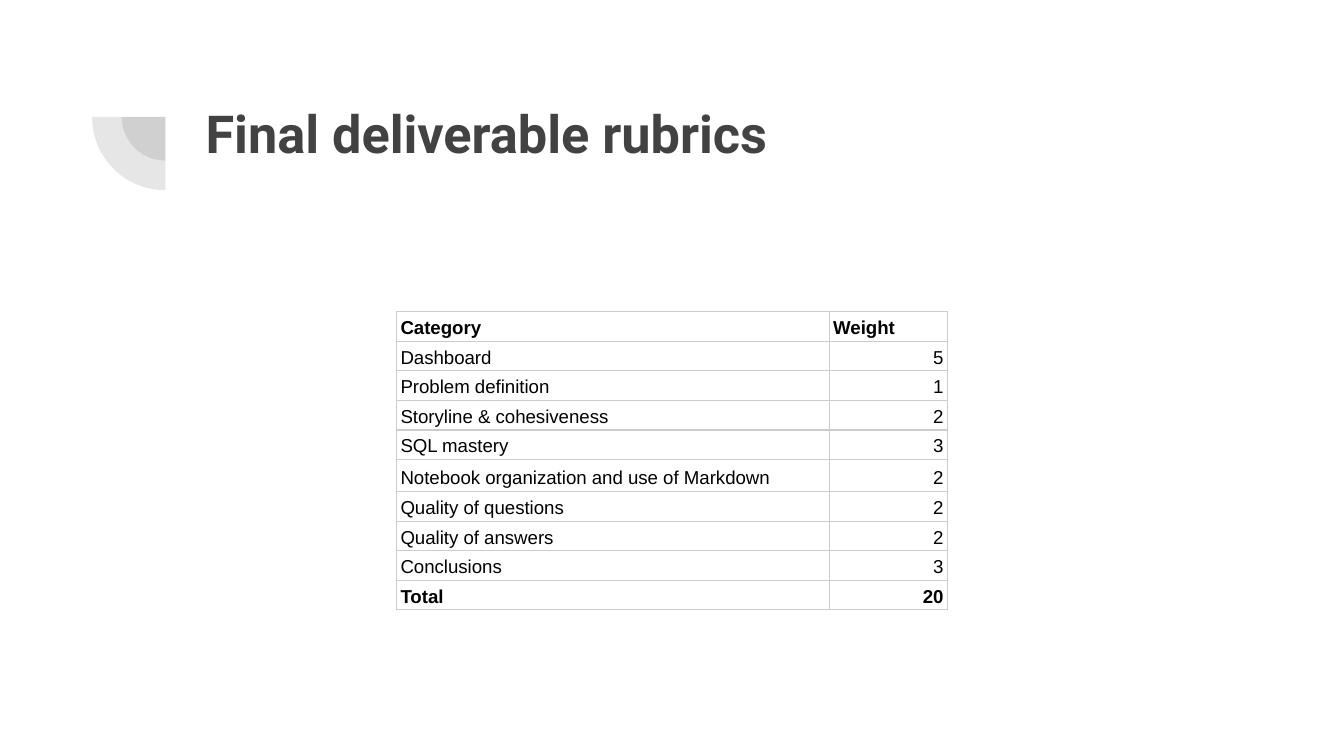
from lxml import etree
from pptx import Presentation
from pptx.dml.color import RGBColor
from pptx.enum import shapes, text
from pptx.oxml.ns import qn
from pptx.util import Inches, Pt

# Content
TITLE = "Final deliverable rubrics"
RUBRIC = [
    ("Category", "Weight"),
    ("Dashboard", "5"),
    ("Problem definition", "1"),
    ("Storyline & cohesiveness", "2"),
    ("SQL mastery", "3"),
    ("Notebook organization and use of Markdown", "2"),
    ("Quality of questions", "2"),
    ("Quality of answers", "2"),
    ("Conclusions", "3"),
    ("Total", "20"),
]
BOLD_ROWS = (0, len(RUBRIC) - 1)
TALL_ROW = 5

THEME = {
    "dark": "424242", "ink": "000000", "border": "CCCCCC", "accent_alpha": 13,
    "title_font": "Roboto", "title_size": 28,
    "table_font": "Arial", "table_size": 10, "border_width": 0.75,
}

# Layout, in inches
SLIDE_WIDTH = 10
SLIDE_HEIGHT = SLIDE_WIDTH * 9 / 16
TABLE_LEFT, TABLE_TOP = 2.95, 2.32
COLUMNS = (3.22, 0.88)
ROW, TALL = 0.22, 0.24
ARC_CENTER = (1.23, 0.87)
ARC_DIAMETERS = (0.65, 1.09)
QUARTER = (54, 108)  # 90 to 180 degrees: the lower left quarter


def style(run, font, size, color, bold):
    run.font.name = font
    run.font.size = Pt(size)
    run.font.color.rgb = RGBColor.from_string(THEME[color])
    run.font.bold = bold


def set_margins(frame, x, y):
    frame.margin_left = frame.margin_right = Inches(x)
    frame.margin_top = frame.margin_bottom = Inches(y)


def add_arc(slide, diameter):
    left, top = (Inches(c - diameter / 2) for c in ARC_CENTER)
    arc = slide.shapes.add_shape(shapes.MSO_SHAPE.PIE, left, top,
                                 Inches(diameter), Inches(diameter))
    arc.adjustments[0], arc.adjustments[1] = QUARTER
    arc.shadow.inherit = False
    arc.line.fill.background()
    arc.fill.solid()
    arc.fill.fore_color.rgb = RGBColor.from_string(THEME["dark"])
    color = arc.element.spPr.find(qn("a:solidFill")).find(qn("a:srgbClr"))
    etree.SubElement(color, qn("a:alpha"), val=str(THEME["accent_alpha"] * 1000))


def add_borders(cell):
    properties = cell._tc.get_or_add_tcPr()
    for index, side in enumerate(("lnL", "lnR", "lnT", "lnB")):
        line = etree.Element(qn("a:" + side), w=str(Pt(THEME["border_width"])))
        fill = etree.SubElement(line, qn("a:solidFill"))
        etree.SubElement(fill, qn("a:srgbClr"), val=THEME["border"])
        properties.insert(index, line)


presentation = Presentation()
presentation.slide_width = Inches(SLIDE_WIDTH)
presentation.slide_height = Inches(SLIDE_HEIGHT)
slide = presentation.slides.add_slide(presentation.slide_layouts[5])

# Quarter circles beside the title
for diameter in ARC_DIAMETERS:
    add_arc(slide, diameter)

# Title
title = slide.shapes.title
title.left, title.top, title.width, title.height = map(Inches, (1.43, 0.65, 7.69, 1.09))
heading = title.text_frame
heading.text = TITLE
heading.word_wrap = True
heading.auto_size = text.MSO_AUTO_SIZE.NONE
heading.vertical_anchor = text.MSO_ANCHOR.TOP
set_margins(heading, 0.1, 0.1)
heading.paragraphs[0].alignment = text.PP_ALIGN.LEFT
style(heading.paragraphs[0].runs[0], THEME["title_font"], THEME["title_size"], "dark", True)

# Rubric table
heights = [TALL if r == TALL_ROW else ROW for r in range(len(RUBRIC))]
rubric = slide.shapes.add_table(
    len(RUBRIC), len(COLUMNS), Inches(TABLE_LEFT), Inches(TABLE_TOP),
    Inches(sum(COLUMNS)), Inches(sum(heights))).table
rubric.first_row = rubric.horz_banding = False
for column, width in zip(rubric.columns, COLUMNS):
    column.width = Inches(width)
for r, (entries, height) in enumerate(zip(RUBRIC, heights)):
    rubric.rows[r].height = Inches(height)
    for c, entry in enumerate(entries):
        cell = rubric.cell(r, c)
        cell.text_frame.text = entry
        cell.fill.background()
        cell.vertical_anchor = text.MSO_ANCHOR.BOTTOM
        set_margins(cell, 0.03, 0.02)
        add_borders(cell)
        paragraph = cell.text_frame.paragraphs[0]
        paragraph.line_spacing = 1.15
        is_number = r > 0 and c == 1
        paragraph.alignment = text.PP_ALIGN.RIGHT if is_number else text.PP_ALIGN.LEFT
        style(paragraph.runs[0], THEME["table_font"], THEME["table_size"], "ink", r in BOLD_ROWS)

presentation.save("out.pptx")
